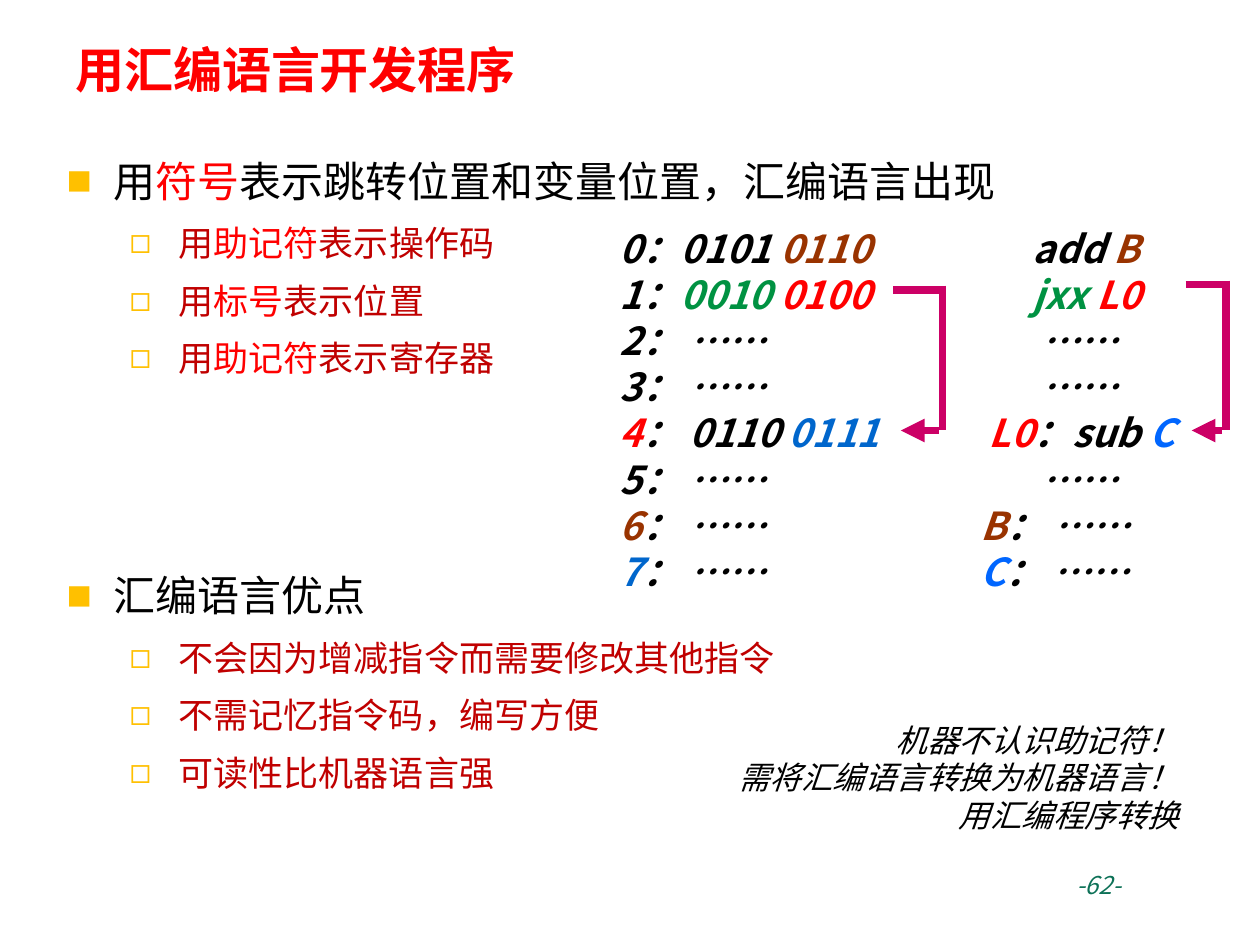
from lxml import etree
from pptx import Presentation
from pptx.dml.color import RGBColor
from pptx.enum.shapes import MSO_CONNECTOR
from pptx.enum.text import MSO_ANCHOR, PP_ALIGN
from pptx.oxml.ns import qn
from pptx.util import Pt

STRAIGHT = MSO_CONNECTOR.STRAIGHT
TOP, MIDDLE = MSO_ANCHOR.TOP, MSO_ANCHOR.MIDDLE
LEFT, RIGHT = PP_ALIGN.LEFT, PP_ALIGN.RIGHT

NOTO = "Noto Sans CJK SC"
ARIAL = "Arial"

BLACK = RGBColor(0x00, 0x00, 0x00)
RED = RGBColor(0xFF, 0x00, 0x00)
DARK_RED = RGBColor(0xC0, 0x00, 0x00)
GREEN = RGBColor(0x00, 0x92, 0x42)
BROWN = RGBColor(0x99, 0x33, 0x00)
BLUE = RGBColor(0x00, 0x66, 0xCC)
BRIGHT_BLUE = RGBColor(0x00, 0x66, 0xFF)
TEAL = RGBColor(0x0D, 0x71, 0x57)
MAGENTA = RGBColor(0xCC, 0x00, 0x66)
GOLD = RGBColor(0xFF, 0xC0, 0x00)

HEADING = {"size": Pt(24), "name": NOTO}
ITEM = {"size": Pt(20), "name": NOTO}
CODE = {"size": Pt(22), "name": NOTO, "bold": True, "italic": True}

# Bullet sections: heading runs, then one list of runs per item
SYMBOL_SECTION = (
    [("用", BLACK), ("符号", RED), ("表示跳转位置和变量位置，汇编语言出现", BLACK)],
    [
        [("用", DARK_RED), (term, RED), (meaning, DARK_RED)]
        for term, meaning in (
            ("助记符", "表示操作码"), ("标号", "表示位置"), ("助记符", "表示寄存器"))
    ],
)
BENEFIT_SECTION = (
    [("汇编语言优点", BLACK)],
    [
        [(text, DARK_RED)]
        for text in ("不会因为增减指令而需要修改其他指令",
                     "不需记忆指令码，编写方便", "可读性比机器语言强")
    ],
)

# Code listings: indent in points, then the runs of the line
DOTS = "： ……"
MACHINE_CODE = [
    (0, [("0：0101 ", BLACK), ("0110", BROWN)]),
    (0, [("1：", BLACK), ("0010 ", GREEN), ("0100", RED)]),
    (0, [("2" + DOTS, BLACK)]),
    (0, [("3" + DOTS, BLACK)]),
    (0, [("4", RED), ("： 0110 ", BLACK), ("0111", BLUE)]),
    (0, [("5" + DOTS, BLACK)]),
    (0, [("6", BROWN), (DOTS, BLACK)]),
    (0, [("7", BLUE), (DOTS, BLACK)]),
]
ASSEMBLY_CODE = [
    (30, [("add ", BLACK), ("B", BROWN)]),
    (30, [("jxx ", GREEN), ("L0", RED)]),
    (35, [("……", BLACK)]),
    (35, [("……", BLACK)]),
    (5, [("L0", RED), ("：sub ", BLACK), ("C", BRIGHT_BLUE)]),
    (35, [("……", BLACK)]),
    (0, [("B", BROWN), (DOTS, BLACK)]),
    (0, [("C", BRIGHT_BLUE), (DOTS, BLACK)]),
]

# Jump arrows: start, top right corner, bottom right corner, arrow tip
MACHINE_JUMP = [(510.5, 165.5), (538.6, 165.5), (538.6, 246), (514.8, 246)]
ASSEMBLY_JUMP = [(677.5, 162.6), (700.6, 162.6), (700.6, 246), (681, 246)]


def add_box(slide, left, top, width, height, anchor=TOP, inset=6):
    box = slide.shapes.add_textbox(Pt(left), Pt(top), Pt(width), Pt(height))
    frame = box.text_frame
    frame.word_wrap = True
    frame.vertical_anchor = anchor
    frame.margin_top = Pt(inset)
    return frame


def add_paragraph(frame, runs, font_format, indent=0, hanging=0, bullet=None,
                  **paragraph_format):
    first = frame.paragraphs[0]
    paragraph = frame.add_paragraph() if first.runs else first
    properties = paragraph._p.get_or_add_pPr()
    properties.set("marL", str(Pt(indent)))
    properties.set("indent", str(-Pt(hanging)))
    if bullet:
        color = etree.SubElement(properties, qn("a:buClr"))
        etree.SubElement(color, qn("a:srgbClr"), val=str(GOLD))
        etree.SubElement(properties, qn("a:buFont"), typeface=ARIAL)
        etree.SubElement(properties, qn("a:buChar"), char=bullet)
    for key, value in paragraph_format.items():
        setattr(paragraph, key, value)
    for text, color in runs:
        run = paragraph.add_run()
        run.text = text
        for key, value in font_format.items():
            setattr(run.font, key, value)
        run.font.color.rgb = color
        east_asian = etree.Element(qn("a:ea"), typeface=NOTO)
        run._r.rPr.find(qn("a:latin")).addnext(east_asian)


def add_section(slide, top, section):
    heading, items = section
    frame = add_box(slide, 31, top, 647, 160)
    add_paragraph(frame, heading, HEADING, 27, 27, "■", line_spacing=Pt(34.5))
    for runs in items:
        add_paragraph(frame, runs, ITEM, 64, 28, "◻",
                      line_spacing=Pt(29), space_before=Pt(4))


def add_code(slide, left, width, lines):
    frame = add_box(slide, left, 122.4, width, 220)
    for indent, runs in lines:
        add_paragraph(frame, runs, CODE, indent, line_spacing=Pt(26.4))


def add_jump(slide, points):
    half_width = 2.25
    (start_x, top), (corner_x, _), (_, bottom), (tip_x, _) = points
    segments = [
        (start_x, top, corner_x + half_width, top),
        (corner_x, top - half_width, corner_x, bottom),
        (corner_x - half_width, bottom, tip_x, bottom),
    ]
    for segment in segments:
        line = slide.shapes.add_connector(STRAIGHT, *map(Pt, segment))
        line.line.color.rgb = MAGENTA
        line.line.width = Pt(4.5)
        etree.SubElement(line._element.spPr, qn("a:effectLst"))
    # The last segment carries the arrowhead
    etree.SubElement(line.line._get_or_add_ln(), qn("a:tailEnd"), type="triangle")


def main():
    presentation = Presentation()
    presentation.slide_width, presentation.slide_height = Pt(720), Pt(540)
    slide = presentation.slides.add_slide(presentation.slide_layouts[6])

    # Title
    title = add_box(slide, 36, 16.5, 648, 46, MIDDLE, 3.6)
    add_paragraph(title, [("用汇编语言开发程序", RED)],
                  {"size": Pt(28), "name": NOTO, "bold": True})

    # Bullet sections
    add_section(slide, 77, SYMBOL_SECTION)
    add_section(slide, 314, BENEFIT_SECTION)

    # Machine code beside assembly code, each with its jump
    add_code(slide, 347, 191, MACHINE_CODE)
    add_jump(slide, MACHINE_JUMP)
    add_code(slide, 553, 148, ASSEMBLY_CODE)
    add_jump(slide, ASSEMBLY_JUMP)

    # Closing remark
    remark = add_box(slide, 321, 406, 360, 73)
    for text in ("机器不认识助记符！", "需将汇编语言转换为机器语言！", "用汇编程序转换"):
        add_paragraph(remark, [(text, BLACK)],
                      {"size": Pt(18), "name": ARIAL, "italic": True},
                      alignment=RIGHT, line_spacing=Pt(21.4))

    # Page number
    page_number = add_box(slide, 604, 491, 80, 37)
    add_paragraph(page_number, [("-62-", TEAL)],
                  {"size": Pt(14), "name": NOTO, "italic": True},
                  indent=4, alignment=LEFT, line_spacing=Pt(17))

    presentation.save("out.pptx")


if __name__ == "__main__":
    main()
